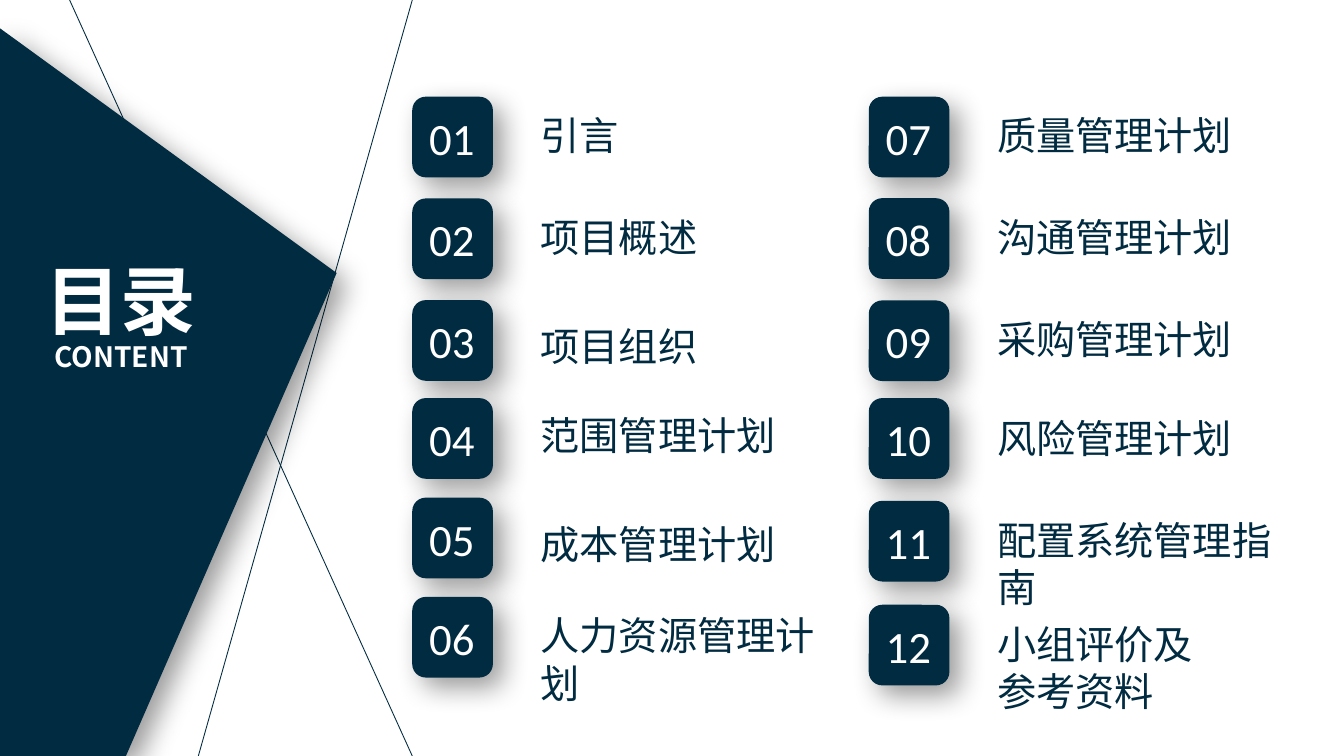
from lxml import etree
from pptx import Presentation
from pptx.dml.color import RGBColor
from pptx.enum.shapes import MSO_CONNECTOR, MSO_SHAPE
from pptx.enum.text import MSO_ANCHOR, PP_ALIGN
from pptx.oxml.ns import qn
from pptx.util import Pt

COLORS = {"navy": "002B41", "white": "FFFFFF", "shadow": "000000"}
CJK = "Noto Sans CJK SC"
LATIN = "Calibri"

COLUMNS = [
    (294.5, [
        ("引言", 69.1, 74.9),
        ("项目概述", 141.8, 147.6),
        ("项目组织", 214.4, 225.4),
        ("范围管理计划", 284.4, 288.7),
        ("成本管理计划", 355.5, 366.5),
        ("人力资源管理计划", 426.4, 432),
    ]),
    (620.6, [
        ("质量管理计划", 69.1, 74.9),
        ("沟通管理计划", 141.6, 147.6),
        ("采购管理计划", 214.6, 220.3),
        ("风险管理计划", 284.4, 290.9),
        ("配置系统管理指南", 357.8, 363.6),
        ("小组评价及参考资料", 432, 437.8),
    ]),
]


def rgb(name):
    return RGBColor.from_string(COLORS[name])


def write(p, text, font=CJK, size=28, color="navy", bold=False,
          align=PP_ALIGN.LEFT, line=None):
    p.alignment = align
    if line:
        p.line_spacing = Pt(line)
    r = p.add_run()
    r.text = text
    r.font.name = font
    r.font.size = Pt(size)
    r.font.bold = bold
    r.font.color.rgb = rgb(color)
    ea = etree.SubElement(r.font._element, qn("a:ea"))
    ea.set("typeface", font)


class Deck:
    def __init__(self, prs):
        self.slide = prs.slides.add_slide(prs.slide_layouts[6])
        self.shapes = self.slide.shapes
        self.slide.background.fill.solid()
        self.slide.background.fill.fore_color.rgb = rgb("white")

    def paint(self, sp, color, shadow=False):
        sp.fill.solid()
        sp.fill.fore_color.rgb = rgb(color)
        sp.line.fill.background()
        sp.shadow.inherit = False
        if shadow:
            effects = sp._element.spPr.find(qn("a:effectLst"))
            outer = etree.SubElement(
                effects, qn("a:outerShdw"), blurRad=str(Pt(20)),
                dist=str(Pt(10)), dir="2700000", algn="tl", rotWithShape="0")
            clr = etree.SubElement(outer, qn("a:srgbClr"), val=COLORS["shadow"])
            etree.SubElement(clr, qn("a:alpha"), val="40000")

    def line(self, x1, y1, x2, y2):
        cx = self.shapes.add_connector(
            MSO_CONNECTOR.STRAIGHT, Pt(x1), Pt(y1), Pt(x2), Pt(y2))
        cx.line.color.rgb = rgb("navy")
        cx.line.width = Pt(0.63)
        etree.SubElement(cx._element.spPr, qn("a:effectLst"))

    def polygon(self, points):
        start, *rest = [(Pt(x), Pt(y)) for x, y in points]
        builder = self.shapes.build_freeform(*start)
        builder.add_line_segments(rest, close=True)
        self.paint(builder.convert_to_shape(), "navy", shadow=True)

    def text(self, x, y, w, h, wrap=True):
        tf = self.shapes.add_textbox(Pt(x), Pt(y), Pt(w), Pt(h)).text_frame
        tf.word_wrap = wrap
        return tf

    def badge(self, x, y, number):
        sp = self.shapes.add_shape(
            MSO_SHAPE.ROUNDED_RECTANGLE, Pt(x), Pt(y), Pt(57.6), Pt(57.6))
        self.paint(sp, "navy", shadow=True)
        tf = self.text(x + 5, y + 6.2, 47, 46, wrap=False)
        write(tf.paragraphs[0], number, font=LATIN, size=32, color="white")

    def label(self, x, y, text):
        w = 172 if len(text) > 8 else 228.2
        h = 75 if len(text) > 7 else 41
        sp = self.shapes.add_shape(
            MSO_SHAPE.RECTANGLE, Pt(x), Pt(y), Pt(w), Pt(h))
        self.paint(sp, "white")
        tf = sp.text_frame
        tf.word_wrap = True
        tf.vertical_anchor = MSO_ANCHOR.TOP
        tf.margin_top = Pt(4.6)
        write(tf.paragraphs[0], text, line=34)


def main():
    prs = Presentation()
    prs.slide_width, prs.slide_height = Pt(960), Pt(540)
    deck = Deck(prs)

    deck.line(294.5, 0, 139.7, 547)
    deck.line(294.5, 540, 43.2, -14.4)
    deck.polygon([(90, 540), (0, 540), (0, 20.2), (240.5, 195)])

    tf = deck.text(17.3, 172.8, 138.2, 97.2)
    title = {"color": "white", "bold": True, "align": PP_ALIGN.CENTER}
    write(tf.paragraphs[0], "目录", size=54, line=70, **title)
    write(tf.add_paragraph(), "CONTENT", size=20, line=20, **title)

    number = 0
    for x, items in COLUMNS:
        for text, badge_top, label_top in items:
            number += 1
            deck.badge(x, badge_top, f"{number:02d}")
            deck.label(x + 84.6, label_top, text)

    prs.save("out.pptx")


if __name__ == "__main__":
    main()
